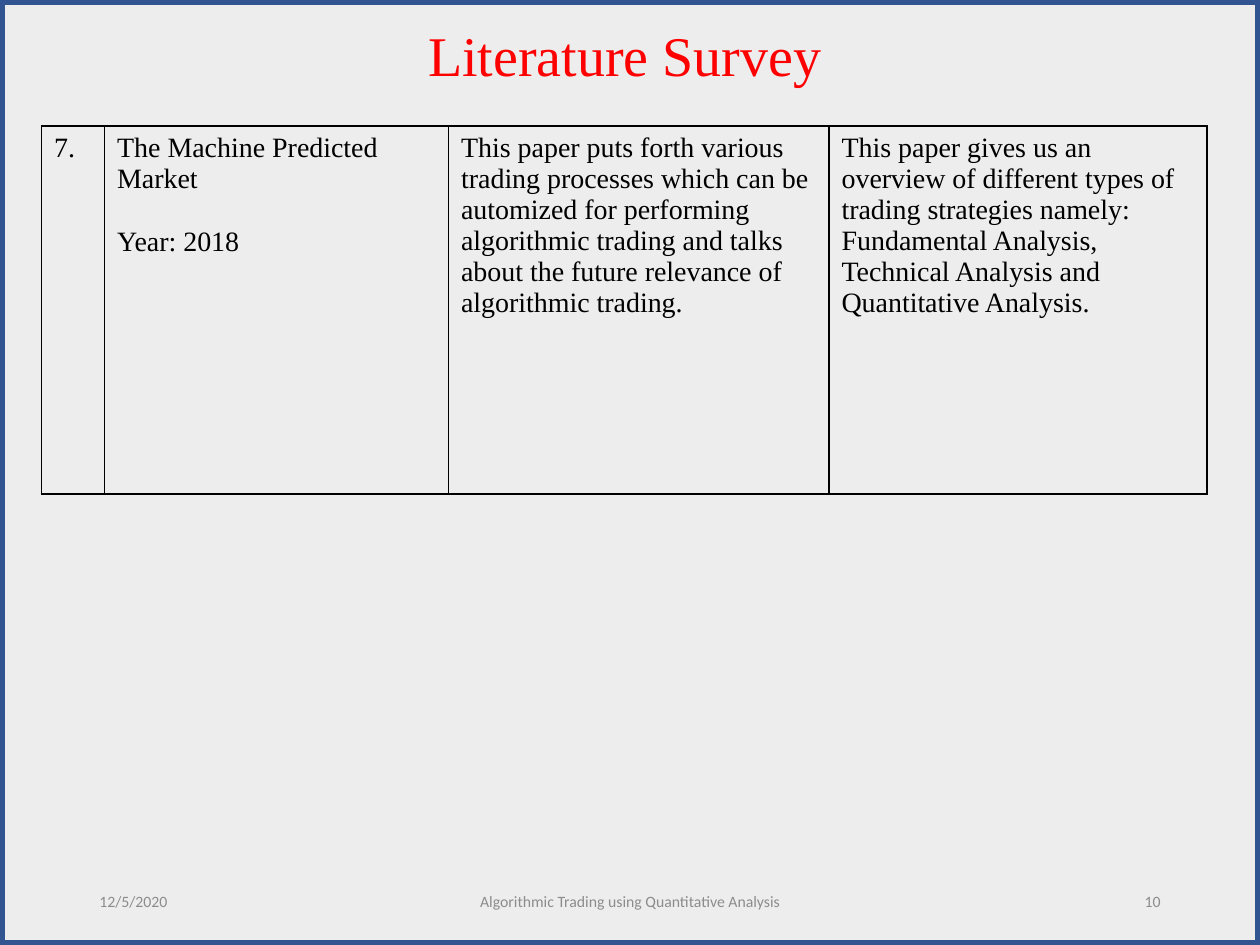
from dataclasses import dataclass

from lxml import etree
from pptx import Presentation
from pptx.dml.color import RGBColor
from pptx.enum.shapes import MSO_SHAPE
from pptx.enum.text import MSO_ANCHOR, PP_ALIGN
from pptx.oxml.ns import qn
from pptx.util import Inches, Pt

LEFT, CENTER, RIGHT = PP_ALIGN.LEFT, PP_ALIGN.CENTER, PP_ALIGN.RIGHT
MIDDLE = MSO_ANCHOR.MIDDLE
RECTANGLE = MSO_SHAPE.RECTANGLE


@dataclass(frozen=True)
class Theme:
    background: RGBColor = RGBColor.from_string("EDEDED")
    frame: RGBColor = RGBColor.from_string("325491")
    title: RGBColor = RGBColor.from_string("FF0000")
    body: RGBColor = RGBColor.from_string("000000")
    footer: RGBColor = RGBColor.from_string("8C8C8C")
    serif: str = "Times New Roman"
    sans: str = "Calibri"
    title_size: int = 32
    body_size: int = 16
    footer_size: int = 9


theme = Theme()


def style(paragraph, name, size, color, align=LEFT):
    paragraph.alignment = align
    paragraph.font.name = name
    paragraph.font.size = Pt(size)
    paragraph.font.color.rgb = color


def add_borders(cell, color, width):
    """Draw all four sides of a cell; call before setting the cell's fill."""
    properties = cell._tc.get_or_add_tcPr()
    for side in ("a:lnL", "a:lnR", "a:lnT", "a:lnB"):
        line = etree.SubElement(properties, qn(side), w=str(Pt(width)))
        fill = etree.SubElement(line, qn("a:solidFill"))
        etree.SubElement(fill, qn("a:srgbClr"), val=str(color))


deck = Presentation()
deck.slide_width, deck.slide_height = Inches(10), Inches(7.5)
page = deck.slides.add_slide(deck.slide_layouts[5])
page.background.fill.solid()
page.background.fill.fore_color.rgb = theme.background

# Title
title = page.shapes.title
title.left, title.top = Inches(0.17), Inches(0.11)
title.width, title.height = Inches(9.58), Inches(0.64)
title.text_frame.text = "Literature Survey"
title.text_frame.vertical_anchor = MSO_ANCHOR.TOP
style(title.text_frame.paragraphs[0], theme.serif, theme.title_size, theme.title, CENTER)

# Footer
footers = [
    (0.69, 2.25, "12/5/2020", LEFT),
    (3.31, 3.38, "Algorithmic Trading using Quantitative Analysis", CENTER),
    (7.06, 2.25, "10", RIGHT),
]
for left, width, text, align in footers:
    box = page.shapes.add_textbox(Inches(left), Inches(6.95), Inches(width), Inches(0.4))
    frame = box.text_frame
    frame.word_wrap = True
    frame.vertical_anchor = MIDDLE
    frame.text = text
    style(frame.paragraphs[0], theme.sans, theme.footer_size, theme.footer, align)

# Survey table: column width and paragraphs of each cell
survey = [
    (0.5, ["7."]),
    (2.73, ["The Machine Predicted Market", "Year: 2018"]),
    (3.02, ["This paper puts forth various trading processes which can be automized "
            "for performing algorithmic trading and talks about the future relevance "
            "of algorithmic trading."]),
    (3, ["This paper gives us an overview of different types of trading strategies "
         "namely: Fundamental Analysis, Technical Analysis and Quantitative Analysis."]),
]
table = page.shapes.add_table(
    1, len(survey), Inches(0.33), Inches(1), Inches(9.25), Inches(2.92)
).table
table.first_row = False
table.horz_banding = False
for index, (width, texts) in enumerate(survey):
    table.columns[index].width = Inches(width)
    cell = table.cell(0, index)
    add_borders(cell, theme.body, 1)
    cell.fill.background()
    cell.text_frame.text = "\n".join(texts)
    for number, paragraph in enumerate(cell.text_frame.paragraphs):
        style(paragraph, theme.serif, theme.body_size, theme.body)
        if number:
            paragraph.space_before = Pt(18)

# Slide frame
border = page.shapes.add_shape(RECTANGLE, 0, 0, deck.slide_width, deck.slide_height)
border.shadow.inherit = False
border.fill.background()
border.line.color.rgb = theme.frame
border.line.width = Pt(6)

deck.save("out.pptx")
